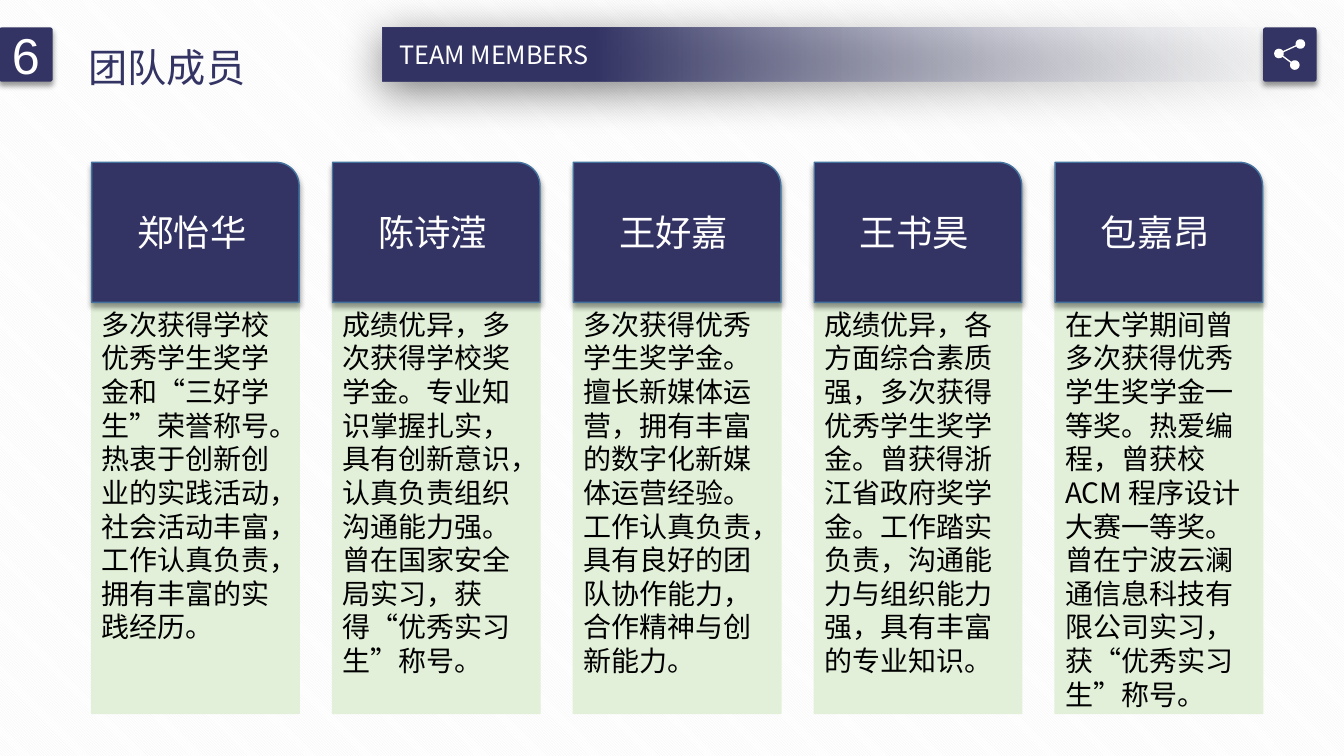
"""Build the team members slide with five profile columns."""
from math import cos, radians, sin

from lxml.etree import SubElement
from pptx import Presentation
from pptx.dml.color import RGBColor
from pptx.enum.dml import MSO_PATTERN
from pptx.enum.shapes import MSO_SHAPE as Shape
from pptx.enum.text import MSO_ANCHOR as Anchor, MSO_AUTO_SIZE as AutoSize, PP_ALIGN as Align
from pptx.oxml.ns import qn
from pptx.util import Cm, Pt

TITLE = "团队成员"
SUBTITLE = "TEAM MEMBERS"
NUMBER = "6"
MEMBERS = [
    ("郑怡华", "多次获得学校优秀学生奖学金和“三好学生”荣誉称号。热衷于创新创业的实践活动，"
               "社会活动丰富，工作认真负责，拥有丰富的实践经历。"),
    ("陈诗滢", "成绩优异，多次获得学校奖学金。专业知识掌握扎实，具有创新意识，"
               "认真负责组织沟通能力强。曾在国家安全局实习，获得“优秀实习生”称号。"),
    ("王好嘉", "多次获得优秀学生奖学金。擅长新媒体运营，拥有丰富的数字化新媒体运营经验。"
               "工作认真负责，具有良好的团队协作能力，合作精神与创新能力。"),
    ("王书昊", "成绩优异，各方面综合素质强，多次获得优秀学生奖学金。曾获得浙江省政府奖学金。"
               "工作踏实负责，沟通能力与组织能力强，具有丰富的专业知识。"),
    ("包嘉昂", "在大学期间曾多次获得优秀学生奖学金一等奖。热爱编程，曾获校 ACM 程序设计大赛一等奖。"
               "曾在宁波云澜通信息科技有限公司实习，获“优秀实习生”称号。"),
]
FONT = "Noto Sans CJK SC"
NAVY, GREEN, BLUE, WHITE, BLACK = "333464", "E2F0D9", "43739E", "FFFFFF", "000000"
SOFT_SHADOW = (40, 4, 3, 90)
WIDE_SHADOW = (50, 31, 6, 97)

COLUMN_LEFT, COLUMN_TOP, COLUMN_PITCH = 2.31, 4.09, 6.07
COLUMN_WIDTH, PANEL_HEIGHT, HEADER_HEIGHT = 5.23, 13.89, 3.53

NODE_RADIUS = 0.12
TOP_NODE, LEFT_NODE, BOTTOM_NODE = (32.77, 1.11), (32.23, 1.35), (32.63, 1.64)
SHARE_ARCS = [
    (TOP_NODE, 149, -195),
    (LEFT_NODE, -31, -317),
    (BOTTOM_NODE, 207, -137),
    (LEFT_NODE, 27, -15),
]


def color(value):
    return RGBColor.from_string(value)


def add_shadow(shape, opacity, blur, distance, angle):
    effects = shape.element.spPr.find(qn("a:effectLst"))
    shadow = SubElement(effects, qn("a:outerShdw"), blurRad=str(Pt(blur)), dist=str(Pt(distance)),
                        dir=str(angle * 60000), algn="ctr", rotWithShape="0")
    tone = SubElement(shadow, qn("a:srgbClr"), val=BLACK)
    SubElement(tone, qn("a:alpha"), val=str(opacity * 1000))


def style(shape, fill, line=None, shadow=None):
    shape.shadow.inherit = False
    if fill:
        shape.fill.solid()
        shape.fill.fore_color.rgb = color(fill)
    if line:
        shape.line.color.rgb = color(line)
        shape.line.width = Pt(1)
    else:
        shape.line.fill.background()
    if shadow:
        add_shadow(shape, *shadow)


def add_box(slide, kind, box, fill, line=None, shadow=None):
    shape = slide.shapes.add_shape(kind, *map(Cm, box))
    style(shape, fill, line, shadow)
    return shape


def write(shape, text, size, ink, font=FONT, align=Align.LEFT, anchor=Anchor.TOP, wrap=True):
    frame = shape.text_frame
    frame.word_wrap = wrap
    frame.vertical_anchor = anchor
    paragraph = frame.paragraphs[0]
    paragraph.alignment = align
    run = paragraph.add_run()
    run.text = text
    run.font.size = Pt(size)
    run.font.name = font
    run.font.color.rgb = color(ink)
    SubElement(run.font._element, qn("a:ea"), typeface=font)
    return paragraph


def add_text(slide, box, text, size, ink, **options):
    shape = slide.shapes.add_textbox(*map(Cm, box))
    write(shape, text, size, ink, **options)
    shape.text_frame.auto_size = AutoSize.SHAPE_TO_FIT_TEXT


def add_bar(slide):
    bar = add_box(slide, Shape.RECTANGLE, (9.65, 0.7, 24.21, 1.36), None, shadow=WIDE_SHADOW)
    bar.fill.gradient()
    bar.fill.gradient_angle = 180
    for stop, position, tone in zip(bar.fill.gradient_stops, (0, 0.78), ("F7FAFD", NAVY)):
        stop.position = position
        stop.color.rgb = color(tone)
    clear_tone = next(bar.element.spPr.iter(qn("a:srgbClr")))
    SubElement(clear_tone, qn("a:alpha"), val="0")
    add_text(slide, (9.65, 0.86, 5.59, 1.02), SUBTITLE, 18, WHITE, align=Align.CENTER, wrap=False)


def add_badge(slide, left):
    badge = add_box(slide, Shape.ROUNDED_RECTANGLE, (left, 0.69, 1.35, 1.37), NAVY,
                    shadow=SOFT_SHADOW)
    badge.adjustments[0] = 0.05
    return badge


def add_share_icon(slide):
    steps = 24
    points = []
    for (x, y), start, end in SHARE_ARCS:
        for step in range(steps + 1):
            angle = radians(start + (end - start) * step / steps)
            points.append((Cm(x + NODE_RADIUS * cos(angle)), Cm(y + NODE_RADIUS * sin(angle))))
    builder = slide.shapes.build_freeform(*points[0])
    builder.add_line_segments(points[1:], close=True)
    style(builder.convert_to_shape(), WHITE)


def add_title(slide):
    title = slide.shapes.title
    title.left, title.top, title.width, title.height = map(Cm, (1.98, 0.36, 4.47, 2.06))
    paragraph = write(title, TITLE, 28, NAVY, wrap=False)
    paragraph.line_spacing = 1.5
    title.text_frame.auto_size = AutoSize.SHAPE_TO_FIT_TEXT


def add_member(slide, index, name, profile):
    left = COLUMN_LEFT + index * COLUMN_PITCH
    add_box(slide, Shape.ROUND_2_SAME_RECTANGLE, (left, COLUMN_TOP, COLUMN_WIDTH, PANEL_HEIGHT),
            GREEN, GREEN)
    header = add_box(slide, Shape.ROUND_1_RECTANGLE,
                     (left, COLUMN_TOP, COLUMN_WIDTH, HEADER_HEIGHT), NAVY, BLUE, SOFT_SHADOW)
    write(header, name, 26, WHITE, align=Align.CENTER, anchor=Anchor.MIDDLE)
    add_text(slide, (left, COLUMN_TOP + HEADER_HEIGHT, COLUMN_WIDTH, PANEL_HEIGHT - HEADER_HEIGHT),
             profile, 20, BLACK)


def main():
    presentation = Presentation()
    presentation.slide_width, presentation.slide_height = Cm(33.87), Cm(19.05)
    slide = presentation.slides.add_slide(presentation.slide_layouts[5])
    background = slide.background.fill
    background.patterned()
    background.pattern = MSO_PATTERN.DARK_DOWNWARD_DIAGONAL
    background.fore_color.rgb = color("F2F2F2")
    background.back_color.rgb = color(WHITE)
    add_bar(slide)
    write(add_badge(slide, -0.02), NUMBER, 36, WHITE, font="Arial", align=Align.CENTER,
          anchor=Anchor.MIDDLE)
    add_badge(slide, 31.83)
    add_share_icon(slide)
    add_title(slide)
    for index, (name, profile) in enumerate(MEMBERS):
        add_member(slide, index, name, profile)
    presentation.save("out.pptx")


if __name__ == "__main__":
    main()
